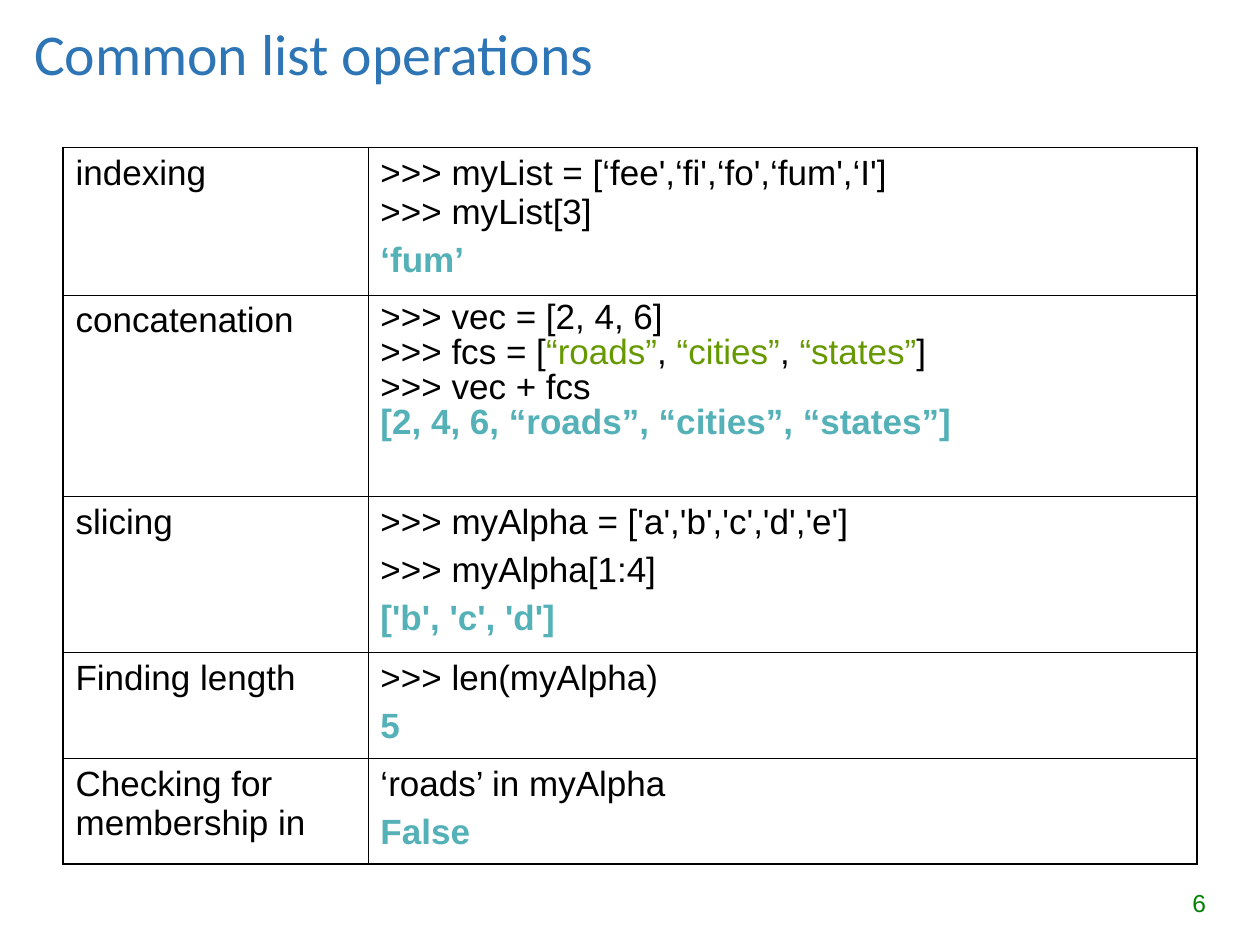
import pptx
import pptx.dml.color
import pptx.enum.text
import pptx.oxml
import pptx.oxml.ns
import pptx.util
from pptx.util import Inches

COLORS = {
    "title": "2E75B6",
    "text": "000000",
    "string": "669900",
    "result": "54B1B8",
    "number": "008000",
    "border": "000000",
}
COLUMN_WIDTHS = [2.42, 6.58]
ROW_HEIGHTS = [1.17, 1.6, 1.24, 0.84, 0.84]
OUTER_LINE, INNER_LINE = 1.08, 0.45
BREAK = "\n"

# Each operation: label, paragraphs, space before (points), line spacing.
# A paragraph is a list of (text, colour name) spans.
OPERATIONS = [
    ("indexing",
     [[(">>> myList = [‘fee',‘fi',‘fo',‘fum',‘I']", "text")],
      [(">>> myList[3]", "text")],
      [("‘fum’", "result")]],
     [0, 0, 5], 1.0),
    ("concatenation",
     [[(">>> vec = [2, 4, 6] ", "text"), (BREAK, "text"),
       (">>> fcs = [", "text"), ("“roads”", "string"), (", ", "text"),
       ("“cities”", "string"), (", ", "text"),
       ("“states”", "string"), ("]", "text")],
      [(">>> vec + fcs", "text")],
      [("[2, 4, 6, “roads”, “cities”, “states”]", "result")]],
     [0, 0, 0], 0.9),
    ("slicing",
     [[(">>> myAlpha = ['a','b','c','d','e']", "text")],
      [(">>> myAlpha[1:4]", "text")],
      [("['b', 'c', 'd']", "result")]],
     [0, 5, 5], 1.0),
    ("Finding length",
     [[(">>> len(myAlpha)", "text")], [("5", "result")]],
     [0, 5], 1.0),
    ("Checking for membership in",
     [[("‘roads’ in myAlpha", "text")], [("False", "result")]],
     [0, 5], 1.0),
]


def style_font(font, size, name, color, bold=False):
    font.size = pptx.util.Pt(size)
    font.name = name
    font.bold = bold
    font.color.rgb = pptx.dml.color.RGBColor.from_string(COLORS[color])


def add_title(page, text):
    title = page.shapes.title
    title.left, title.top = Inches(0.17), Inches(0.17)
    title.width, title.height = Inches(8.75), Inches(0.5)
    frame = title.text_frame
    frame.text = text
    frame.auto_size = pptx.enum.text.MSO_AUTO_SIZE.NONE
    frame.vertical_anchor = pptx.enum.text.MSO_ANCHOR.MIDDLE
    para = frame.paragraphs[0]
    para.alignment = pptx.enum.text.PP_ALIGN.LEFT
    style_font(para.runs[0].font, 33, "Calibri", "title")


def add_page_number(page, text):
    box = page.shapes.add_textbox(
        Inches(7.17), Inches(7), Inches(2.5), Inches(0.35))
    box.text_frame.word_wrap = True
    box.text_frame.text = text
    para = box.text_frame.paragraphs[0]
    para.alignment = pptx.enum.text.PP_ALIGN.RIGHT
    style_font(para.runs[0].font, 14, "Arial", "number")


def fill_cell(cell, paragraphs, spaces, line_spacing):
    cell.margin_left = cell.margin_right = Inches(0.1)
    cell.margin_top = cell.margin_bottom = Inches(0.05)
    cell.fill.background()
    frame = cell.text_frame
    for index, (spans, space) in enumerate(zip(paragraphs, spaces)):
        para = frame.add_paragraph() if index else frame.paragraphs[0]
        para.space_before = pptx.util.Pt(space)
        para.line_spacing = line_spacing
        for text, color in spans:
            if text == BREAK:
                para.add_line_break()
                continue
            span = para.add_run()
            span.text = text
            style_font(span.font, 20, "Arial", color, color == "result")


def set_borders(cell, outer_sides):
    properties = cell._tc.get_or_add_tcPr()
    for position, side in enumerate("LRTB"):
        points = OUTER_LINE if side in outer_sides else INNER_LINE
        line = pptx.oxml.parse_xml(
            f'<a:ln{side} {pptx.oxml.ns.nsdecls("a")} w="{pptx.util.Pt(points)}">'
            f'<a:solidFill><a:srgbClr val="{COLORS["border"]}"/></a:solidFill>'
            f'</a:ln{side}>')
        properties.insert(position, line)


def add_operations_table(page):
    table = page.shapes.add_table(
        len(ROW_HEIGHTS), len(COLUMN_WIDTHS), Inches(0.5), Inches(1.17),
        Inches(sum(COLUMN_WIDTHS)), Inches(sum(ROW_HEIGHTS))).table
    table.first_row = table.horz_banding = False
    for column, width in zip(table.columns, COLUMN_WIDTHS):
        column.width = Inches(width)
    for row, height in zip(table.rows, ROW_HEIGHTS):
        row.height = Inches(height)

    last_row = len(OPERATIONS) - 1
    for index, (label, code, spaces, spacing) in enumerate(OPERATIONS):
        label_cell, code_cell = table.cell(index, 0), table.cell(index, 1)
        fill_cell(label_cell, [[(label, "text")]], [0], 1.0)
        fill_cell(code_cell, code, spaces, spacing)
        # The outline is heavier than the inner grid
        edges = {0: "T", last_row: "B"}.get(index, "")
        set_borders(label_cell, "L" + edges)
        set_borders(code_cell, "R" + edges)


def main():
    deck = pptx.Presentation()
    deck.slide_width, deck.slide_height = Inches(10), Inches(7.5)
    page = deck.slides.add_slide(deck.slide_layouts[5])  # Title Only
    add_page_number(page, "6")
    add_title(page, "Common list operations")
    add_operations_table(page)
    deck.save("out.pptx")


if __name__ == "__main__":
    main()
